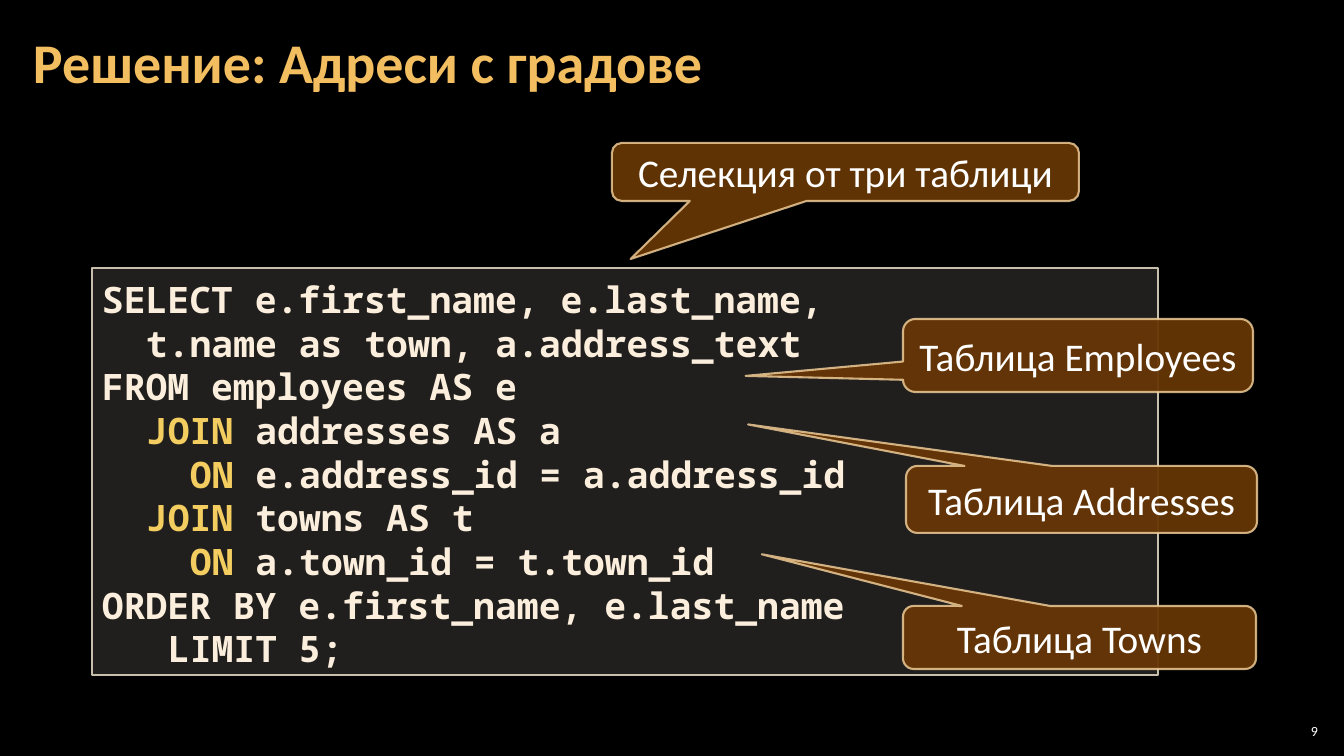
from pptx import Presentation
from pptx import util as u
from pptx.dml.color import RGBColor
from pptx.enum import shapes, text
from pptx.oxml.ns import qn
from lxml import etree

SIZE = (1344, 756)
TITLE = ("Решение: Адреси с градове", (21, 4, 1301, 122))
NUMBER = ("9", (1275, 720, 47, 21))
BOX = (92, 268, 1066, 407)
KEYS = ("JOIN", "ON")
CODE = [
    (0, "SELECT e.first_name, e.last_name,"),
    (2, "t.name as town, a.address_text"),
    (0, "FROM employees AS e"),
    (2, "JOIN addresses AS a"),
    (4, "ON e.address_id = a.address_id"),
    (2, "JOIN towns AS t"),
    (4, "ON a.town_id = t.town_id"),
    (0, "ORDER BY e.first_name, e.last_name"),
    (3, "LIMIT 5;"),
]
NOTES = [
    ("Таблица Employees", (903, 319, 350, 73), (-0.95, 0.28, 0.17)),
    ("Таблица Towns", (903, 606, 353, 63), (-0.9, -1.32, 0.17)),
    ("Селекция от три таблици", (612, 143, 467, 58), (-0.46, 1.5, 0.17)),
    ("Таблица Addresses", (906, 466, 351, 67), (-0.95, -1.12, 0.17)),
]
THEME = {
    "back": "000000",
    "title": {"size": 40, "name": "Calibri", "color": "F3BE60", "bold": True},
    "code": {"size": 26, "name": "Noto Sans Mono", "color": "FBEEDC", "bold": True},
    "key": {"size": 26, "name": "Noto Sans Mono", "color": "F3CD60", "bold": True},
    "note": {"size": 28, "name": "Calibri", "color": "FFFFFF", "bold": False},
    "number": {"size": 10, "name": "Calibri", "color": "FFFFFF", "bold": False},
    "panel": {"fill": ("D9D5C7", 15), "line": ("C7BFAC", 100), "width": 1},
    "call": {"fill": ("663606", 95), "line": ("F8D49E", 80), "width": 1.5},
}
CHAR = 22
PITCH = 31.2


def px(n):
    return u.Emu(round(n * 914400 / 100.8))


def paint(fill, tone):
    color, alpha = tone
    fill.solid()
    fill.fore_color.rgb = RGBColor.from_string(color)
    if alpha < 100:
        node = fill._xPr.find(qn("a:solidFill"))[0]
        etree.SubElement(node, qn("a:alpha")).set("val", str(alpha * 1000))


def write(para, words, style):
    run = para.add_run()
    run.text = words
    look = dict(THEME[style])
    run.font.color.rgb = RGBColor.from_string(look.pop("color"))
    look["size"] = u.Pt(look["size"])
    for key, val in look.items():
        setattr(run.font, key, val)


def frame(shape, pads, anchor):
    body = shape.text_frame
    sides = ("margin_left", "margin_top", "margin_right", "margin_bottom")
    form = dict(zip(sides, map(px, pads)), word_wrap=True, vertical_anchor=anchor)
    for key, val in form.items():
        setattr(body, key, val)
    return body


def label(slide, words, at, style, pads, align):
    shape = slide.shapes.add_textbox(*map(px, at))
    para = frame(shape, pads, text.MSO_ANCHOR.MIDDLE).paragraphs[0]
    para.alignment = align
    write(para, words, style)
    return para


def block(slide, kind, at, style):
    shape = slide.shapes.add_shape(kind, *map(px, at))
    shape.shadow.inherit = False
    look = THEME[style]
    paint(shape.fill, look["fill"])
    paint(shape.line.fill, look["line"])
    shape.line.width = u.Pt(look["width"])
    return shape


def listing(slide):
    shape = block(slide, shapes.MSO_SHAPE.RECTANGLE, BOX, "panel")
    body = frame(shape, (10, 9, 10, 5), text.MSO_ANCHOR.TOP)
    for row, (depth, line) in enumerate(CODE):
        para = body.add_paragraph() if row else body.paragraphs[0]
        para.alignment = text.PP_ALIGN.LEFT
        para.line_spacing = u.Pt(PITCH)
        para._p.get_or_add_pPr().set("marL", str(px(depth * CHAR)))
        head, gap, rest = line.partition(" ")
        if head in KEYS:
            write(para, head, "key")
            line = gap + rest
        write(para, line, "code")


def note(slide, words, at, bends):
    kind = shapes.MSO_SHAPE.ROUNDED_RECTANGULAR_CALLOUT
    shape = block(slide, kind, at, "call")
    for spot, bend in enumerate(bends):
        shape.adjustments[spot] = bend
    para = frame(shape, (10, 5, 10, 5), text.MSO_ANCHOR.MIDDLE).paragraphs[0]
    para.alignment = text.PP_ALIGN.CENTER
    write(para, words, "note")


def main():
    deck = Presentation()
    deck.slide_width, deck.slide_height = map(px, SIZE)
    slide = deck.slides.add_slide(deck.slide_layouts[6])
    paint(slide.background.fill, (THEME["back"], 100))
    title = label(slide, *TITLE, "title", (12, 4, 12, 4), text.PP_ALIGN.LEFT)
    title.line_spacing = 0.9
    listing(slide)
    for item in NOTES:
        note(slide, *item)
    label(slide, *NUMBER, "number", (4, 4, 4, 4), text.PP_ALIGN.RIGHT)
    deck.save("out.pptx")


if __name__ == "__main__":
    main()
